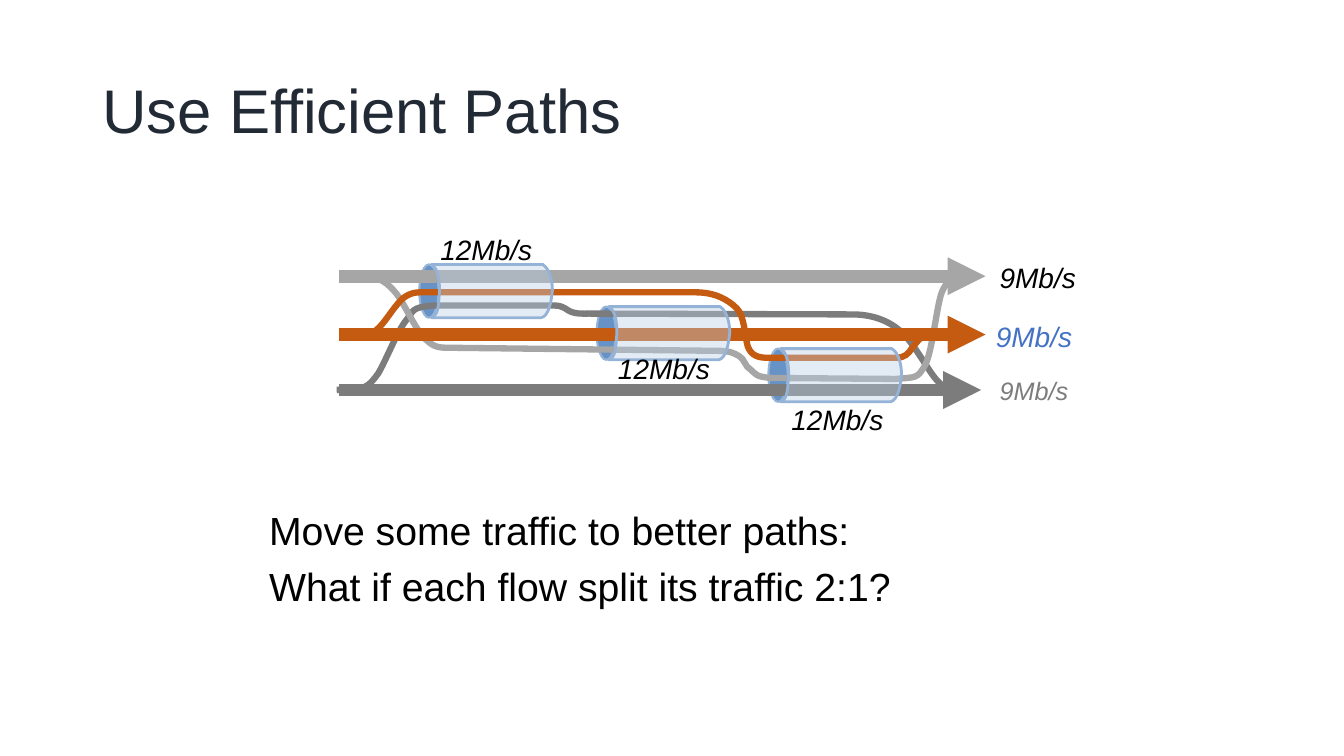
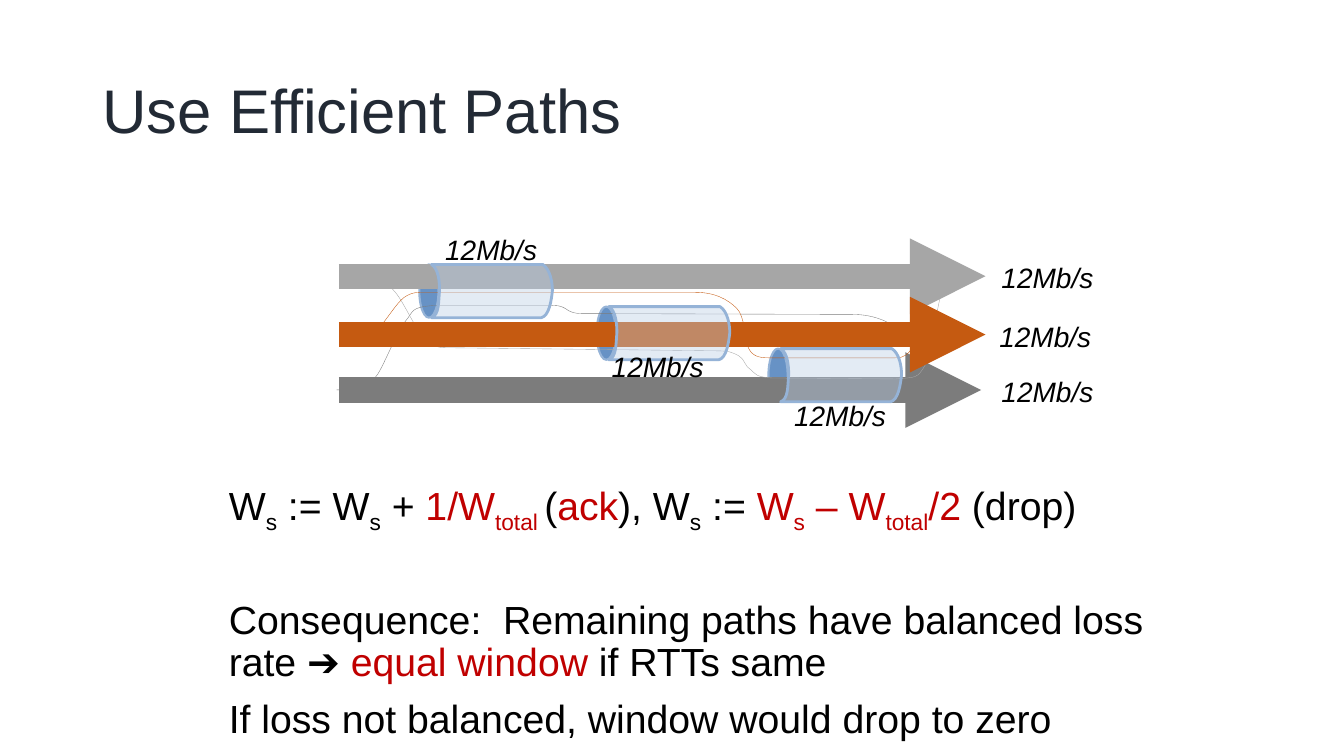
from lxml.etree import SubElement
from pptx import Presentation
from pptx.dml.color import RGBColor
from pptx.enum.shapes import MSO_CONNECTOR as Connector, MSO_SHAPE as Preset
from pptx.enum.text import MSO_ANCHOR as Anchor, MSO_AUTO_SIZE as AutoSize, PP_ALIGN as Align
from pptx.oxml.ns import qn
from pptx.util import Pt

FONT = "Arial"
TITLE_COLOUR, BLACK, RED, BLUE = "222A35", "000000", "C00000", "4472C4"
DARK_GREY, LIGHT_GREY, ORANGE = "7C7C7C", "A6A6A6", "C55A11"
PIPE_FILL, PIPE_EDGE, PIPE_MOUTH = "B9CDE5", "95B3D7", "6792C5"
TITLE_BOX = (66, 29, 828, 104)
LABEL_HEIGHT = 31.7

# Outlines: a pair is a straight step, six numbers are a Bézier curve.
FLOWS = [
    {"colour": DARK_GREY, "y": 278.6, "end": 700.8, "detour": [
        (240.5, 278.5), (256.3, 278), (261.5, 276.5, 264.2, 275, 270, 267),
        (275, 259, 283, 238.3, 289.4, 229.7), (296, 221.8, 293, 219.6, 309.6, 218.2),
        (391, 218.2), (396, 218.2, 400.3, 217.4, 406, 221.8),
        (411, 224.6, 417, 224, 420.5, 224), (609, 224.6),
        (625, 224.6, 638, 230.4, 646.5, 239.8), (655, 249, 664.5, 267, 669.6, 272),
        (674, 276.5, 677.5, 279.4, 685.5, 279.4), (694.8, 279.4)]},
    {"colour": LIGHT_GREY, "y": 197.3, "end": 704, "detour": [
        (249, 198), (267, 198), (273, 200, 277, 202.3, 283, 209.5),
        (288.7, 216.7, 296, 233.3, 301.7, 239.8), (308, 247, 311.8, 248.4, 319, 248.4),
        (511.2, 250.6), (522, 250.6, 523.5, 252, 527.8, 254.2),
        (532, 256.3, 532, 262, 536.4, 264.2), (540, 267, 539.3, 269.3, 551.5, 270),
        (640, 270.7), (654.5, 269.3, 655.2, 270.7, 661, 260.6),
        (666, 250.6, 668.9, 220.3, 672.5, 209.5),
        (676.8, 198.7, 681, 199.4, 684.7, 197.3), (697, 198)]},
    {"colour": ORANGE, "y": 239, "end": 704, "detour": [
        (244, 239.8), (262.8, 239), (266.4, 237.6, 267, 237.6, 271.4, 233.3),
        (275.8, 229, 283, 216.7, 288.7, 212.4), (295.2, 208, 298.8, 208.8, 309.6, 208.8),
        (496.8, 208.8), (510.5, 208.8, 519.8, 213.8, 526.3, 220.3),
        (532, 226, 532, 241.2, 534.2, 247.7), (537, 254.2, 541.4, 255.6, 549.4, 255.6),
        (639.4, 255.6), (646.6, 255.6, 648.7, 252.7, 651.6, 248.4),
        (654.5, 244.8, 657.4, 240.5, 661, 239.8),
        (664.6, 239.8, 670.3, 239.8, 675.4, 239.8)]},
]
FLOW_START = 242

PIPES = [(557.6, 249), (308.2, 188.9), (434.9, 219)]
PIPE_OUTLINE = [
    (0, 38), (78.5, 38), (84.2, 36.7, 85.7, 25.2, 86.4, 18.7),
    (86.4, 13, 85, 3.6, 79.5, 0), (0, 0), (5, 2.9, 5.8, 12.2, 5.8, 18.7),
    (5, 25.9, 5.8, 36, 0, 38)]
MOUTH_WIDTH, MOUTH_HEIGHT, MOUTH_OVERHANG = 13.7, 38, 8.7

# Labels: text, left, top, width, size, colour.
# Body paragraphs: space before, then runs of (text, style words).
SLIDES = [
    {
        "title": "Use Efficient Paths",
        "trunk_width": 9, "detour_width": 4.5,
        "labels": [
            ("9Mb/s", 702, 182.5, 78.5, 20, BLACK),
            ("9Mb/s", 702.2, 224.6, 72.7, 20, BLUE),
            ("9Mb/s", 702.2, 264.6, 72.7, 18, DARK_GREY),
            ("12Mb/s", 301.7, 162.4, 91.4, 20, BLACK),
            ("12Mb/s", 428.6, 247.7, 91.4, 20, BLACK),
            ("12Mb/s", 552.8, 283.7, 90.7, 20, BLACK)],
        "body_box": (185.2, 162, 612, 277.2),
        "body": [
            (0, [("Move some traffic to better paths:", "")]),
            (10, [("What if each flow split its traffic 2:1?", "")])],
    },
    {
        "title": "Use Efficient Paths",
        "trunk_width": 18, "detour_width": 0.25,
        "labels": [
            ("12Mb/s", 702.2, 182.5, 92, 20, BLACK),
            ("12Mb/s", 702, 224.6, 89.3, 20, BLACK),
            ("12Mb/s", 702.2, 264.2, 92, 20, BLACK),
            ("12Mb/s", 309.8, 162.4, 82, 20, BLACK),
            ("12Mb/s", 425.5, 245.9, 88.6, 20, BLACK),
            ("12Mb/s", 555.8, 281.2, 88.6, 20, BLACK)],
        "body_box": (156.4, 229, 715.7, 304.3),
        "body": [
            (0, [("W", ""), ("s", "sub"), (" := W", ""), ("s", "sub"), (" + ", ""),
                 ("1/W", "red"), ("total ", "red sub"), ("(", ""), ("ack", "red"),
                 ("), W", ""), ("s", "sub"), (" := ", ""), ("W", "red"),
                 ("s", "red sub"), (" – W", "red"), ("total", "red sub"),
                 ("/2", "red"), (" (drop)", "")]),
            (50, [("Consequence:  Remaining paths have balanced loss rate ➔ ", ""),
                  ("equal window ", "red"), ("if RTTs same", "")]),
            (10, [("If loss not balanced, window would drop to zero", "")])],
    },
]


def rgb(colour):
    return RGBColor.from_string(colour)


def points(values):
    return [Pt(value) for value in values]


def set_font(font, size, colour, italic=False):
    font.name, font.size, font.italic = FONT, Pt(size), italic
    font.color.rgb = rgb(colour)


def set_line(line, colour, width):
    line.color.rgb = rgb(colour)
    line.width = Pt(width)


def bend(shape, steps, left, top):
    """Replace the straight segments of curved steps by cubic Béziers."""
    segments = list(shape.element.iter(qn("a:lnTo")))
    for segment, step in zip(segments, steps):
        if len(step) == 2:
            continue
        curve = segment.makeelement(qn("a:cubicBezTo"))
        for x, y in zip(step[::2], step[1::2]):
            SubElement(curve, qn("a:pt"), x=str(Pt(left + x) - shape.left),
                       y=str(Pt(top + y) - shape.top))
        segment.getparent().replace(segment, curve)


def add_outline(shapes, outline, colour, width, left=0, top=0, close=False):
    corners = [points((left + step[-2], top + step[-1])) for step in outline]
    builder = shapes.build_freeform(*corners[0])
    builder.add_line_segments(corners[1:], close=close)
    shape = builder.convert_to_shape()
    bend(shape, outline[1:], left, top)
    shape.shadow.inherit = False
    shape.fill.background()
    set_line(shape.line, colour, width)
    return shape


def add_title(slide, text):
    title = slide.shapes.title
    title.left, title.top, title.width, title.height = points(TITLE_BOX)
    frame = title.text_frame
    frame.text = text
    frame.auto_size = AutoSize.NONE
    frame.vertical_anchor = Anchor.MIDDLE
    paragraph = frame.paragraphs[0]
    paragraph.alignment, paragraph.line_spacing = Align.LEFT, 0.9
    set_font(paragraph.runs[0].font, 44, TITLE_COLOUR)


def add_body(slide, box, content):
    frame = slide.shapes.add_textbox(*points(box)).text_frame
    frame.word_wrap = True
    frame.vertical_anchor = Anchor.BOTTOM
    for i, (space_before, runs) in enumerate(content):
        paragraph = frame.add_paragraph() if i else frame.paragraphs[0]
        paragraph.line_spacing, paragraph.space_before = 0.9, Pt(space_before)
        for text, style in runs:
            run = paragraph.add_run()
            run.text = text
            set_font(run.font, 28, RED if "red" in style else BLACK)
            if "sub" in style:
                run._r.get_or_add_rPr().set("baseline", "-25000")


def add_flow(slide, flow, trunk_width, detour_width):
    shapes = slide.shapes.add_group_shape().shapes
    trunk = shapes.add_connector(
        Connector.STRAIGHT, *points((FLOW_START, flow["y"], flow["end"], flow["y"])))
    set_line(trunk.line, flow["colour"], trunk_width)
    properties = trunk.element.spPr
    SubElement(properties.find(qn("a:ln")), qn("a:tailEnd"), type="triangle")
    SubElement(properties, qn("a:effectLst"))
    add_outline(shapes, flow["detour"], flow["colour"], detour_width)


def add_pipe_mouth(slide, left, top):
    mouth = slide.shapes.add_shape(
        Preset.OVAL, *points((left - MOUTH_OVERHANG, top, MOUTH_WIDTH, MOUTH_HEIGHT)))
    mouth.shadow.inherit = False
    mouth.fill.solid()
    mouth.fill.fore_color.rgb = rgb(PIPE_MOUTH)
    set_line(mouth.line, PIPE_EDGE, 1.5)


def add_pipe_body(slide, left, top):
    pipe = add_outline(slide.shapes, PIPE_OUTLINE, PIPE_EDGE, 2, left, top, close=True)
    pipe.fill.solid()
    pipe.fill.fore_color.rgb = rgb(PIPE_FILL)
    colour = pipe.element.spPr.find(qn("a:solidFill")).find(qn("a:srgbClr"))
    SubElement(colour, qn("a:alpha"), val="40000")


def add_label(slide, text, left, top, width, size, colour):
    frame = slide.shapes.add_textbox(*points((left, top, width, LABEL_HEIGHT))).text_frame
    frame.word_wrap = False
    frame.text = text
    paragraph = frame.paragraphs[0]
    paragraph.alignment = Align.CENTER
    set_font(paragraph.runs[0].font, size, colour, italic=True)


def main():
    deck = Presentation()
    deck.slide_width, deck.slide_height = Pt(960), Pt(540)
    title_only = deck.slide_layouts[5]
    for content in SLIDES:
        slide = deck.slides.add_slide(title_only)
        add_title(slide, content["title"])
        add_body(slide, content["body_box"], content["body"])
        for position in PIPES:
            add_pipe_mouth(slide, *position)
        for flow in FLOWS:
            add_flow(slide, flow, content["trunk_width"], content["detour_width"])
        for position in PIPES:
            add_pipe_body(slide, *position)
        for label in content["labels"]:
            add_label(slide, *label)
    deck.save("out.pptx")


if __name__ == "__main__":
    main()
